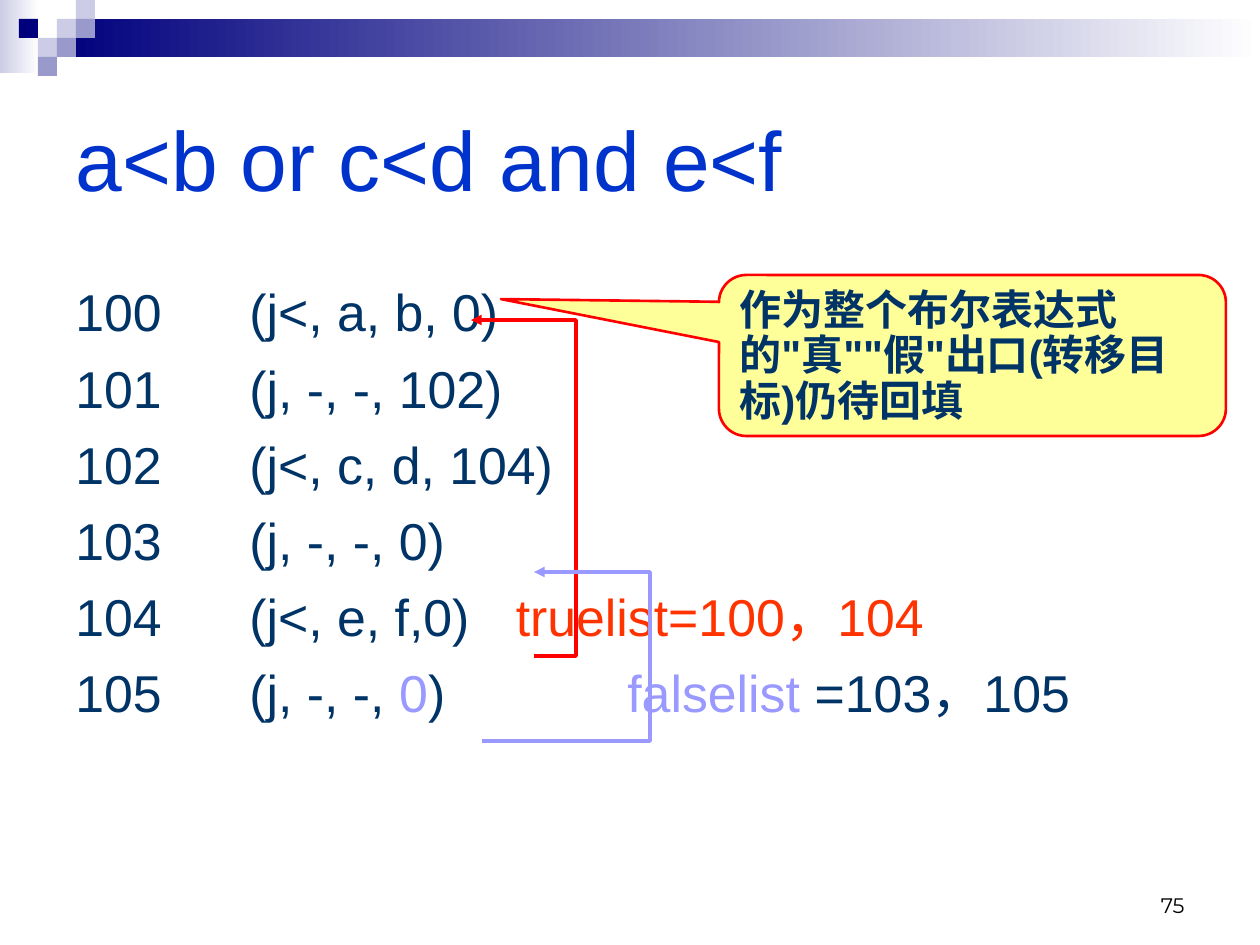
import pptx
import pptx.dml.color
import pptx.enum.shapes
import pptx.enum.text
import pptx.util
from lxml import etree
from pptx.oxml.ns import qn

EMU_PER_PX = 914400 / 126
SHAPES = pptx.enum.shapes.MSO_SHAPE
ANCHOR = pptx.enum.text.MSO_ANCHOR
ALIGN = pptx.enum.text.PP_ALIGN

NAVY = "00007D"
PALE = "CCCCE6"
MID = "9999CC"
WHITE = "FFFFFF"
INK = "003366"
RED = "FF0000"
ORANGE = "FF3300"
VIOLET = "9999FF"

CELL = 19
SQUARES = [(2, 1, PALE), (3, 0, PALE), (3, 1, MID), (1, 2, PALE),
           (0, 1, NAVY), (2, 2, MID), (1, 3, MID)]

QUADRUPLES = [
    [("100\t(j<, a, b, 0)", INK)],
    [("101\t(j, -, -, 102)", INK)],
    [("102\t(j<, c, d, 104)", INK)],
    [("103\t(j, -, -, 0)", INK)],
    [("104\t(j<, e, f,0)\t ", INK), ("truelist=100，104", ORANGE)],
    [("105\t(j, -, -, ", INK), ("0", VIOLET), (")\t\t", INK),
     ("falselist", VIOLET), (" =103，105", INK)],
]


def px(value):
    return pptx.util.Emu(round(value * EMU_PER_PX))


def color(value):
    return pptx.dml.color.RGBColor.from_string(value)


def add_block(slide, box, fill, fade_to=None, kind=SHAPES.RECTANGLE):
    shape = slide.shapes.add_shape(kind, *map(px, box))
    shape.shadow.inherit = False
    shape.line.fill.background()
    if fade_to:
        shape.fill.gradient()
        shape.fill.gradient_angle = 0
        for stop, value in zip(shape.fill.gradient_stops, (fill, fade_to)):
            stop.color.rgb = color(value)
    else:
        shape.fill.solid()
        shape.fill.fore_color.rgb = color(fill)
    return shape


def add_run(paragraph, text, size, value, font="Arial", bold=False):
    run = paragraph.add_run()
    run.text = text
    run.font.size = pptx.util.Pt(size)
    run.font.name = font
    run.font.bold = bold
    run.font.color.rgb = color(value)


def add_text_box(slide, box, anchor):
    frame = slide.shapes.add_textbox(*map(px, box)).text_frame
    frame.word_wrap = True
    frame.vertical_anchor = anchor
    return frame


def set_hanging_tabs(paragraph):
    properties = paragraph._p.get_or_add_pPr()
    properties.set("marL", str(px(48)))
    properties.set("indent", str(-px(48)))
    properties.set("defTabSz", str(px(126)))


def add_quadruples(slide):
    frame = add_text_box(slide, (63, 274, 1134, 536), ANCHOR.TOP)
    for index, row in enumerate(QUADRUPLES):
        paragraph = frame.add_paragraph() if index else frame.paragraphs[0]
        set_hanging_tabs(paragraph)
        if index:
            paragraph.space_before = pptx.util.Pt(8)
        for text, value in row:
            add_run(paragraph, text, 29.6, value)


def add_backpatch_arrow(slide, points, value):
    start, *rest = [(px(x), px(y)) for x, y in points]
    builder = slide.shapes.build_freeform(*start)
    builder.add_line_segments(rest, close=False)
    shape = builder.convert_to_shape()
    shape.shadow.inherit = False
    shape.fill.background()
    shape.line.color.rgb = color(value)
    shape.line.width = pptx.util.Pt(2)
    etree.SubElement(shape.line._get_or_add_ln(), qn("a:tailEnd"), type="triangle")


def add_callout(slide, text):
    shape = add_block(slide, (719, 275, 507, 161), "FFFF99",
                      kind=SHAPES.ROUNDED_RECTANGULAR_CALLOUT)
    for index, value in enumerate((-0.93, -0.35, 0.17)):
        shape.adjustments[index] = value
    shape.line.color.rgb = color(RED)
    shape.line.width = pptx.util.Pt(1.5)
    frame = shape.text_frame
    frame.word_wrap = True
    frame.vertical_anchor = ANCHOR.TOP
    paragraph = frame.paragraphs[0]
    paragraph.alignment = ALIGN.LEFT
    paragraph.line_spacing = 0.9
    add_run(paragraph, text, 24, INK, bold=True)


def add_banner(slide):
    add_block(slide, (0, 0, 39, 73), PALE, WHITE)
    add_block(slide, (3 * CELL, CELL, 1260 - 3 * CELL, 2 * CELL), NAVY, WHITE)
    for column, row, value in SQUARES:
        add_block(slide, ((column + 1) * CELL, row * CELL, CELL, CELL), value)


def main():
    presentation = pptx.Presentation()
    presentation.slide_width = px(1260)
    presentation.slide_height = px(945)
    slide = presentation.slides.add_slide(presentation.slide_layouts[6])

    add_banner(slide)
    title = add_text_box(slide, (63, 63, 1134, 189), ANCHOR.MIDDLE)
    add_run(title.paragraphs[0], "a<b or c<d and e<f", 48, "0033CC")
    add_quadruples(slide)
    add_backpatch_arrow(slide, [(534, 656), (576, 656), (576, 320), (471, 320)], RED)
    add_backpatch_arrow(slide, [(482, 741), (650, 741), (650, 572), (534, 572)], VIOLET)
    add_callout(slide, '作为整个布尔表达式的"真""假"出口(转移目标)仍待回填')
    number = add_text_box(slide, (903, 861, 294, 63), ANCHOR.BOTTOM).paragraphs[0]
    number.alignment = ALIGN.RIGHT
    add_run(number, "75", 12, "000000", font="Montserrat")

    presentation.save("out.pptx")


if __name__ == "__main__":
    main()
